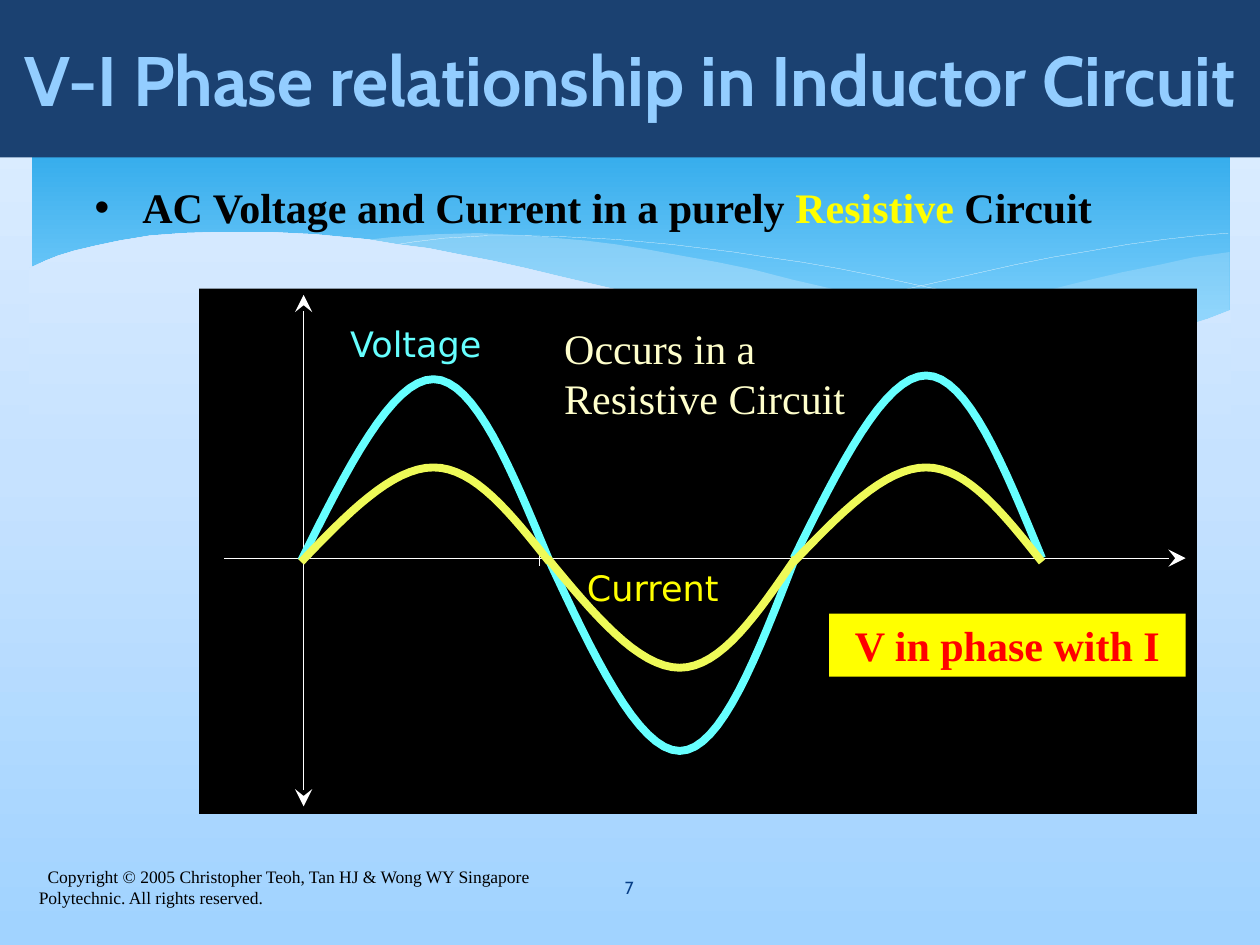
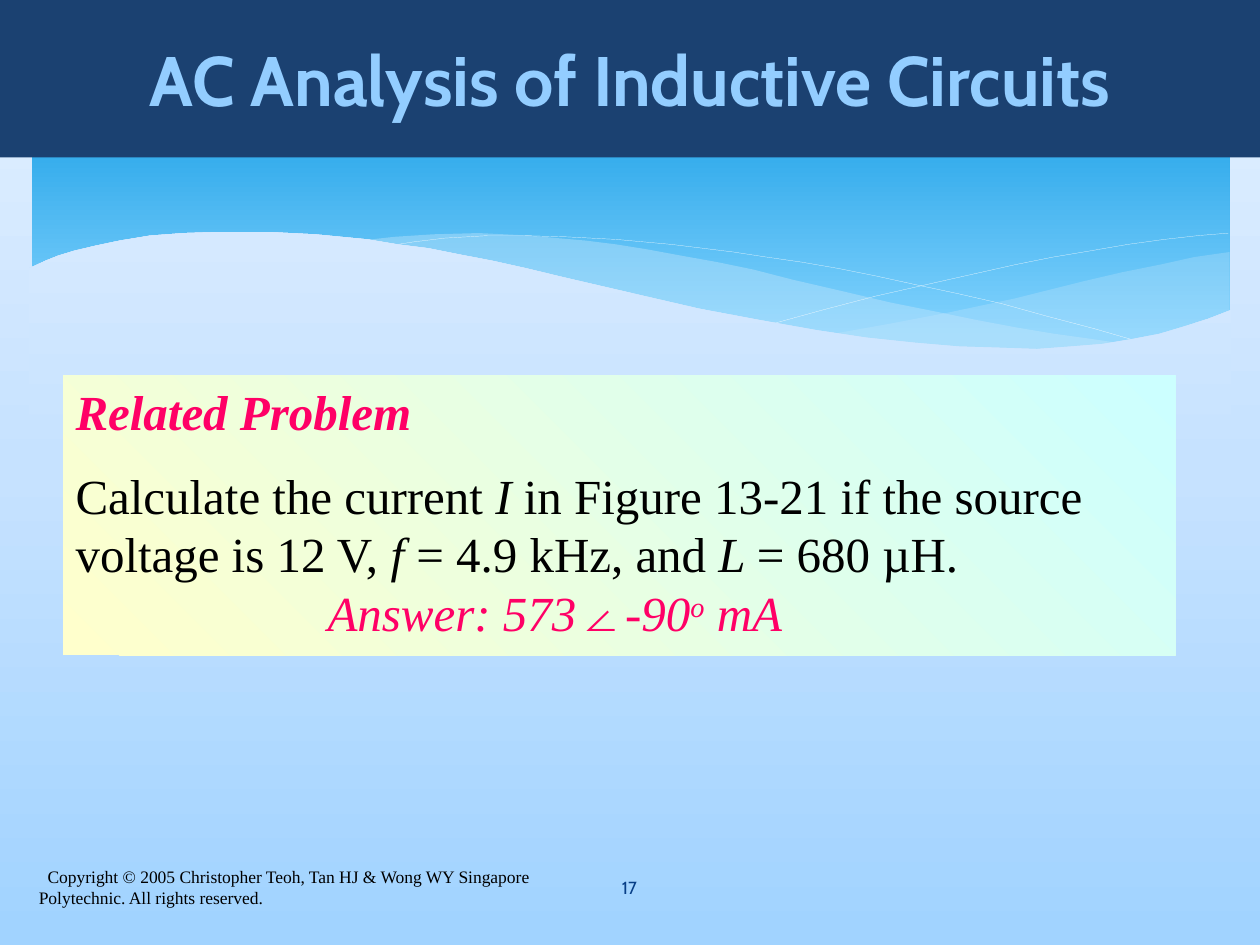
from lxml.etree import SubElement
from pptx import Presentation
from pptx.dml.color import RGBColor
from pptx.enum.shapes import MSO_CONNECTOR, MSO_SHAPE
from pptx.enum.text import MSO_ANCHOR, MSO_AUTO_SIZE, PP_ALIGN
from pptx.oxml.ns import qn
from pptx.util import Inches, Pt

SERIF, SANS, HEAD = "Times New Roman", "DejaVu Sans", "Cabin"
BLACK, WHITE, YELLOW, PINK = "000000", "FFFFFF", "FFFF00", "FF0066"
NAVY, SKY, DEEP, MIST = "1B4171", "93CDFF", "073E87", "C6E7FC"
CYAN, LEMON, CREAM, RED = "66FFFF", "EEFA58", "FFFFCC", "FF0000"
PAGE = [(1, "A1D3FF"), (50, "C6E2FF"), (100, "E3F0FF")]
COVER = [(0, "CAE4FF"), (100, "D5E9FF")]  # slice of PAGE behind the wave
BAND = [(0, "0293E0"), (90, "83D3FE")]
CARD = [(0, CREAM), (100, "CCFFFF")]
NOTICE = ("Copyright © 2005 Christopher Teoh, Tan HJ & Wong WY Singapore "
          "Polytechnic. All rights reserved.")

# Outlines of the wave band, in inches on the slide
RIGHT = [
    (9.76, 2), (9.48, 2.04), (9.21, 2.1), (8.91, 2.16), (8.61, 2.23), (8.05, 2.37),
    (7.53, 2.48), (7.06, 2.57), (6.61, 2.65), (6.91, 2.69), (7.19, 2.72),
    (7.45, 2.75), (7.81, 2.77), (8.14, 2.78), (8.44, 2.77), (8.72, 2.74),
    (8.97, 2.7), (9.21, 2.65), (9.42, 2.59), (9.63, 2.52), (9.76, 2.47)]
MIDDLE = [
    (8.93, 2.73), (8.66, 2.69), (8.37, 2.65), (8.07, 2.6), (7.75, 2.54),
    (7.41, 2.47), (7.06, 2.4), (6.68, 2.31), (6.29, 2.22), (5.98, 2.14),
    (5.69, 2.08), (5.41, 2.03), (5.14, 1.98), (4.89, 1.94), (4.65, 1.91),
    (4.42, 1.89), (4.2, 1.87), (3.8, 1.85), (3.44, 1.86), (3.13, 1.88),
    (2.86, 1.91), (3.23, 1.96), (3.62, 2.03), (4.04, 2.11), (4.49, 2.22),
    (4.91, 2.32), (5.3, 2.4), (5.66, 2.48), (6.01, 2.55), (6.34, 2.61),
    (6.65, 2.66), (6.95, 2.7), (7.22, 2.74), (7.48, 2.76), (7.85, 2.78),
    (8.28, 2.78), (8.57, 2.77), (8.76, 2.75)]
FALL = [
    (3.09, 1.95), (3.28, 1.92), (3.53, 1.89), (3.87, 1.87), (4.16, 1.87),
    (4.5, 1.88), (4.89, 1.9), (5.33, 1.94), (5.82, 2), (6.08, 2.04), (6.36, 2.08),
    (6.65, 2.13), (6.95, 2.19), (7.27, 2.26), (7.6, 2.33), (7.95, 2.41),
    (8.31, 2.51), (8.69, 2.61), (9.07, 2.72)]
RISE = [
    (6.13, 2.57), (6.53, 2.46), (6.95, 2.35), (7.48, 2.23), (8.06, 2.1),
    (8.36, 2.04), (8.66, 1.99), (8.95, 1.94), (9.24, 1.9), (9.51, 1.87), (9.75, 1.85)]
FRONT = [
    (9.77, 2.46), (9.59, 2.53), (9.4, 2.59), (9.2, 2.65), (8.99, 2.69),
    (8.75, 2.73), (8.5, 2.75), (8.23, 2.77), (7.93, 2.76), (7.61, 2.75),
    (7.26, 2.72), (6.88, 2.68), (6.48, 2.62), (6.03, 2.54), (5.55, 2.45),
    (5.03, 2.33), (4.47, 2.2), (4.18, 2.13), (3.91, 2.07), (3.65, 2.02),
    (3.4, 1.97), (3.16, 1.94), (2.92, 1.9), (2.71, 1.88), (2.5, 1.86),
    (2.3, 1.85), (2.11, 1.84), (1.77, 1.84), (1.46, 1.85), (1.19, 1.87),
    (0.95, 1.91), (0.76, 1.95), (0.59, 1.99), (0.46, 2.03), (0.36, 2.07),
    (0.23, 2.13), (0.23, 3.29), (9.77, 3.29)]


def color(code):
    return RGBColor.from_string(code)


def place(shape, box):
    shape.left, shape.top, shape.width, shape.height = map(Inches, box)


def grade(root, stops, angle):
    """Swap the first solid fill under root for a gradient."""
    old = root.find(".//" + qn("a:solidFill"))
    new = old.makeelement(qn("a:gradFill"), {"rotWithShape": "1"})
    rows = SubElement(new, qn("a:gsLst"))
    for pos, code in stops:
        stop = SubElement(rows, qn("a:gs"), pos=str(pos * 1000))
        SubElement(stop, qn("a:srgbClr"), val=code)
    SubElement(new, qn("a:lin"), ang=str(angle * 60000), scaled="0")
    old.getparent().replace(old, new)


def style(shape, fill=None, line=None, width=0.1, alpha=None):
    shape.shadow.inherit = False
    if fill:
        shape.fill.solid()
        shape.fill.fore_color.rgb = color(fill)
        if alpha:
            tone = shape.element.find(".//" + qn("a:srgbClr"))
            SubElement(tone, qn("a:alpha"), val=str(alpha * 1000))
    else:
        shape.fill.background()
    if line:
        shape.line.color.rgb = color(line)
        shape.line.width = Pt(width)
    else:
        shape.line.fill.background()
    return shape


def block(slide, kind, box, fill):
    return style(slide.shapes.add_shape(kind, *map(Inches, box)), fill)


def trace(slide, dots, close=False, **look):
    spots = [(Inches(x), Inches(y)) for x, y in dots]
    pen = slide.shapes.build_freeform(*spots[0])
    pen.add_line_segments(spots[1:], close=close)
    return style(pen.convert_to_shape(), **look)


def rule(slide, start, end, *heads):
    line = slide.shapes.add_connector(MSO_CONNECTOR.STRAIGHT,
                                      *map(Inches, start + end))
    line.line.color.rgb = color(WHITE)
    line.line.width = Pt(0.75)
    props = line.element.spPr
    for head in heads:
        SubElement(props.find(qn("a:ln")), qn("a:" + head), type="stealth",
                   w="lg", len="lg")
    SubElement(props, qn("a:effectLst"))


def para(frame, runs, size, font=SERIF, align=PP_ALIGN.LEFT, before=0,
         left=0, hang=0, bullet=None):
    """Add one paragraph; a run is (text, colour, marks), marks from b, i, ^."""
    text = frame.add_paragraph() if frame.text else frame.paragraphs[0]
    text.alignment, text.space_before = align, Pt(before)
    props = text._p.get_or_add_pPr()
    props.set("marL", str(Inches(left)))
    props.set("indent", str(Inches(hang)))
    if bullet:
        SubElement(props, qn("a:buChar"), char=bullet)
    else:
        SubElement(props, qn("a:buNone"))
    for words, tone, marks in runs:
        run = text.add_run()
        run.text = words
        run.font.name, run.font.size = font, Pt(size)
        run.font.color.rgb = color(tone)
        run.font.bold, run.font.italic = "b" in marks, "i" in marks
        if "^" in marks:
            run.font._element.set("baseline", "30000")


def setup(frame, anchor=MSO_ANCHOR.TOP):
    frame.word_wrap, frame.auto_size = True, MSO_AUTO_SIZE.NONE
    frame.vertical_anchor = anchor
    return frame


def label(slide, box, runs, size, anchor=MSO_ANCHOR.TOP, **form):
    shape = slide.shapes.add_textbox(*map(Inches, box))
    para(setup(shape.text_frame, anchor), runs, size, **form)


# Shared look
def backdrop(slide):
    """Draw the wave band once and keep it on the slide's layout."""
    layout = slide.slide_layout
    page = layout.slide_master
    page.background.fill.solid()
    page.background.fill.fore_color.rgb = color(WHITE)
    grade(page.element.find(".//" + qn("p:bgPr")), PAGE, 270)

    band = block(slide, MSO_SHAPE.ROUNDED_RECTANGLE, (0.25, 0.25, 9.51, 2.7), WHITE)
    band.adjustments[0] = 0.034
    grade(band.element.spPr, BAND, 90)
    parts = [band,
             trace(slide, RIGHT, True, fill=MIST, alpha=29),
             trace(slide, MIDDLE, True, fill=MIST, alpha=40),
             trace(slide, FALL, line=WHITE),
             trace(slide, RISE, line=WHITE),
             trace(slide, FRONT, True, fill=WHITE)]
    grade(parts[-1].element.spPr, COVER, 270)
    for spot, part in enumerate(parts, 2):
        layout.shapes.element.insert(spot, part.element)


def frame_up(slide, title, number):
    """Title bar, copyright line and page number."""
    head = slide.shapes.title
    place(head, (0, 0, 10, 1.25))
    head.fill.solid()
    head.fill.fore_color.rgb = color(NAVY)
    para(setup(head.text_frame, MSO_ANCHOR.MIDDLE), [(title, SKY, "b")], 40,
         HEAD, PP_ALIGN.CENTER)
    label(slide, (0.21, 6.84, 4.14, 0.4), [(NOTICE, BLACK, "")], 10,
          MSO_ANCHOR.MIDDLE, hang=0.07)
    label(slide, (4.36, 6.84, 1.27, 0.4), [(number, DEEP, "")], 10,
          MSO_ANCHOR.MIDDLE, font=HEAD, align=PP_ALIGN.CENTER)


# Phase graph
def bezier(a, b, c, d, steps=16):
    for n in range(1, steps + 1):
        t = n / steps
        u = 1 - t
        yield tuple(u**3 * p + 3 * u * u * t * q + 3 * u * t * t * r + t**3 * s
                    for p, q, r, s in zip(a, b, c, d))


def arch(slide, x, base, peak, tone):
    """Half a sine wave, 1.97 wide, from the base line to the peak and back."""
    mid, top = (base + peak) / 2, (x + 1.05, peak)
    dots = [(x, base),
            *bezier((x, base), (x + 0.36, mid), (x + 0.72, peak), top),
            *bezier(top, (x + 1.38, peak), (x + 1.67, mid), (x + 1.97, base))]
    trace(slide, dots, line=tone, width=4.5)


def graph(slide, box):
    left, top, wide, high = box
    block(slide, MSO_SHAPE.RECTANGLE, box, BLACK)

    # Axes
    axis, zero = top + 2.14, left + 0.83
    rule(slide, (left + 2.7, axis - 0.11), (left + 2.7, axis + 0.06))
    rule(slide, (left + 0.2, axis), (left + wide - 0.09, axis), "tailEnd")
    rule(slide, (zero, top + high - 0.06), (zero, top + 0.05), "headEnd", "tailEnd")

    # Waves: base and peak of each half, measured from the axis
    waves = [(CYAN, [(0.02, -1.42), (-0.01, 1.53), (0, -1.45)]),
             (LEMON, [(0.03, -0.72), (0, 0.87), (0.03, -0.72)])]
    for tone, halves in waves:
        for n, (base, peak) in enumerate(halves):
            arch(slide, zero - 0.02 + 1.955 * n, axis + base, axis + peak, tone)

    # Labels
    label(slide, (left + 1.1, top + 0.22, 1.6, 0.43), [("Voltage", CYAN, "")],
          20, font=SANS)
    label(slide, (left + 2.98, top + 2.16, 1.4, 0.43), [("Current", YELLOW, "")],
          20, font=SANS)
    label(slide, (left + 2.8, top + 0.22, 2.7, 0.9),
          [("Occurs in a Resistive Circuit", CREAM, "")], 24)
    tag = block(slide, MSO_SHAPE.RECTANGLE, (left + 5, top + 2.58, 2.83, 0.5), YELLOW)
    para(setup(tag.text_frame), [("V in phase with I", RED, "b")], 24,
         align=PP_ALIGN.CENTER)


def phase(slide):
    frame_up(slide, "V-I Phase relationship in Inductor Circuit", "7")
    body = slide.placeholders[1]
    place(body, (0.65, 1.39, 8.16, 0.5))
    para(setup(body.text_frame),
         [("AC Voltage and Current in a purely ", BLACK, "b"),
          ("Resistive", YELLOW, "b"), (" Circuit", BLACK, "b")],
         24, left=0.38, hang=-0.38, bullet="•")
    graph(slide, (1.58, 2.29, 7.92, 4.17))


# Worked problem
def problem(slide):
    frame_up(slide, "AC Analysis of Inductive Circuits", "17")
    card = slide.placeholders[1]
    place(card, (0.5, 2.98, 8.83, 2.22))
    card.fill.solid()
    card.fill.fore_color.rgb = color(CREAM)
    grade(card.element.spPr, CARD, 315)
    frame = setup(card.text_frame)
    para(frame, [("Related Problem", PINK, "bi")], 28)
    para(frame, [("Calculate the current ", BLACK, ""), ("I ", BLACK, "i"),
                 ("in Figure 13-21 if the source voltage is 12 V, ", BLACK, ""),
                 ("f", BLACK, "i"), (" = 4.9 kHz, and ", BLACK, ""),
                 ("L ", BLACK, "i"), ("= 680 µH.", BLACK, "")], 28, before=14)
    para(frame, [("Answer: 573∠-90", PINK, "i"), ("o", PINK, "i^"),
                 (" mA", PINK, "i")], 28, left=2)


def main():
    deck = Presentation()
    deck.slide_width, deck.slide_height = Inches(10), Inches(7.5)
    layout = deck.slide_layouts[1]
    first, second = (deck.slides.add_slide(layout) for _ in range(2))
    backdrop(first)
    phase(first)
    problem(second)
    deck.save("out.pptx")


if __name__ == "__main__":
    main()
